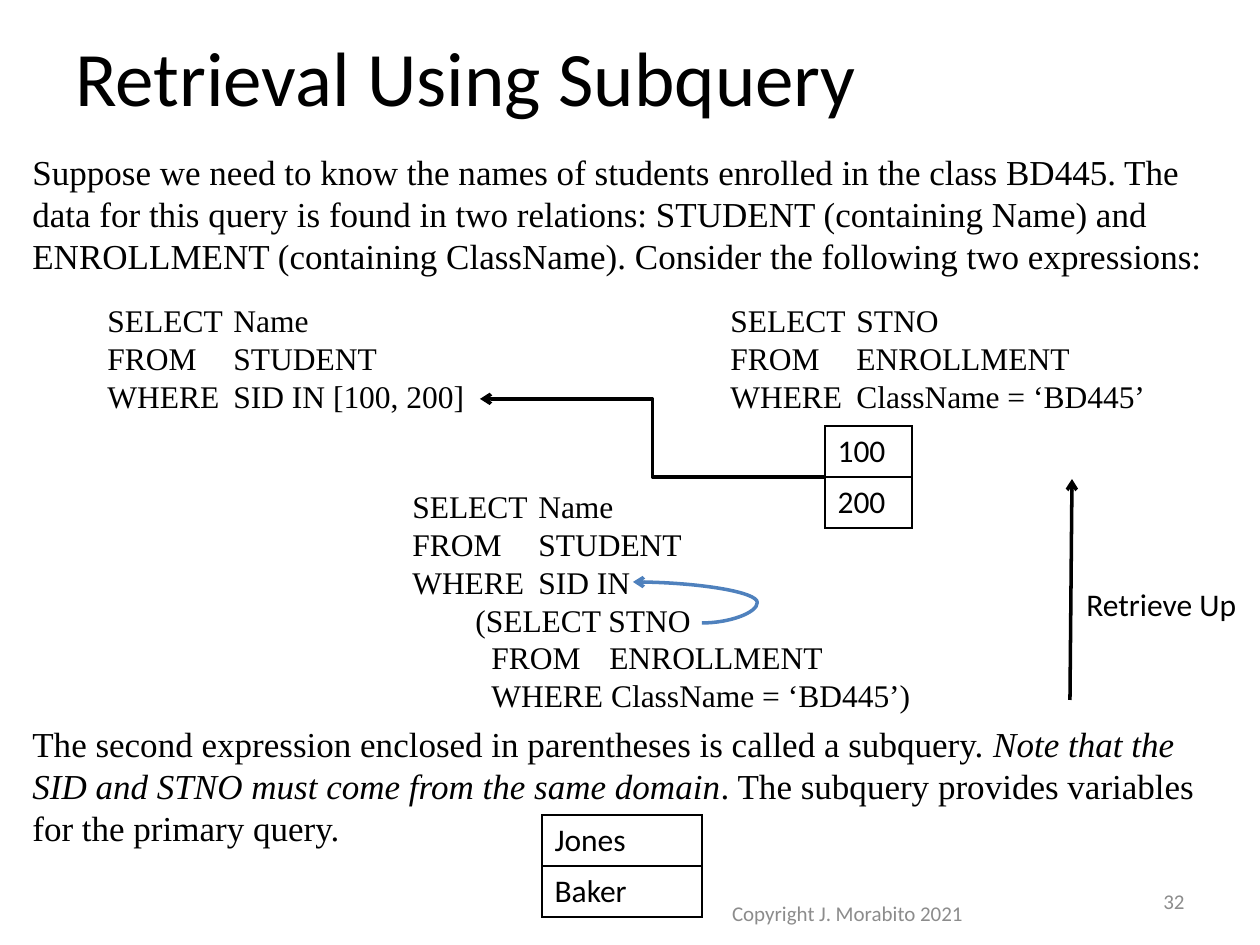
from lxml import etree
from pptx import Presentation
from pptx.dml.color import RGBColor
from pptx.enum.shapes import MSO_CONNECTOR
from pptx.enum.text import MSO_ANCHOR, PP_ALIGN
from pptx.oxml.ns import qn
from pptx.util import Pt

BLACK = RGBColor(0x00, 0x00, 0x00)
GRAY = RGBColor(0x8C, 0x8C, 0x8C)
BLUE = RGBColor(0x4F, 0x81, 0xBD)
SANS = "Calibri"
SERIF = "Times New Roman"
STRAIGHT = MSO_CONNECTOR.STRAIGHT
ELBOW = MSO_CONNECTOR.ELBOW
CURVE = MSO_CONNECTOR.CURVE
TOP, MIDDLE = MSO_ANCHOR.TOP, MSO_ANCHOR.MIDDLE
LEFT, CENTER, RIGHT = PP_ALIGN.LEFT, PP_ALIGN.CENTER, PP_ALIGN.RIGHT
EMU_PER_PX = 914400 / 126
CLAUSE_TABS = (63, 126)
NESTED_TABS = (79, 197)


def px(n):
    return round(n * EMU_PER_PX)


def style(p, size, font, color=BLACK):
    p.font.size = Pt(size)
    p.font.name = font
    p.font.color.rgb = color


def add_text(slide, box, lines, size, font, color=BLACK, align=LEFT,
             anchor=TOP, wrap=True):
    tf = slide.shapes.add_textbox(*map(px, box)).text_frame
    tf.word_wrap = wrap
    tf.vertical_anchor = anchor
    for i, line in enumerate(lines):
        p = tf.add_paragraph() if i else tf.paragraphs[0]
        p.alignment = align
        style(p, size, font, color)
        for text, italic in line if isinstance(line, list) else [(line, False)]:
            r = p.add_run()
            r.text = text
            if italic:
                r.font.italic = True
    return tf


def set_tabs(p, stops):
    tabs = etree.Element(qn("a:tabLst"))
    for stop in stops:
        etree.SubElement(tabs, qn("a:tab"), pos=str(px(stop)), algn="l")
    p._p.get_or_add_pPr().find(qn("a:defRPr")).addprevious(tabs)


def add_query(slide, box, clauses, nested=()):
    tf = add_text(slide, box, [*clauses, *nested], 18, SERIF, wrap=False)
    for i, p in enumerate(tf.paragraphs):
        set_tabs(p, CLAUSE_TABS if i < len(clauses) else NESTED_TABS)


def add_arrow(slide, kind, start, end, color, bend=None):
    s = slide.shapes.add_connector(kind, *map(px, start + end))
    s.line.color.rgb = color
    s.line.width = Pt(2)
    etree.SubElement(s.line._get_or_add_ln(), qn("a:tailEnd"), type="arrow")
    sp_pr = s._element.spPr
    etree.SubElement(sp_pr, qn("a:effectLst"))
    if bend is not None:
        guides = sp_pr.find(qn("a:prstGeom")).find(qn("a:avLst"))
        etree.SubElement(guides, qn("a:gd"), name="adj1", fmla=f"val {bend}")


def add_borders(cell):
    tc_pr = cell._tc.get_or_add_tcPr()
    for i, side in enumerate(("lnL", "lnR", "lnT", "lnB")):
        ln = etree.Element(qn(f"a:{side}"), w=str(Pt(1)))
        fill = etree.SubElement(ln, qn("a:solidFill"))
        etree.SubElement(fill, qn("a:srgbClr"), val=str(BLACK))
        tc_pr.insert(i, ln)


def add_result(slide, box, values):
    table = slide.shapes.add_table(len(values), 1, *map(px, box)).table
    table.first_row = False
    table.horz_banding = False
    for i, value in enumerate(values):
        cell = table.cell(i, 0)
        cell.text = value
        style(cell.text_frame.paragraphs[0], 18, SANS)
        cell.fill.background()
        add_borders(cell)


def main():
    prs = Presentation()
    prs.slide_width, prs.slide_height = px(1260), px(945)
    slide = prs.slides.add_slide(prs.slide_layouts[6])

    add_text(slide, (63, 6, 1134, 139), ["Retrieval Using Subquery"], 44, SANS,
             anchor=MIDDLE)
    add_text(slide, (648, 888, 399, 50), ["Copyright J. Morabito 2021"], 12,
             SANS, GRAY, CENTER, MIDDLE)
    add_text(slide, (20, 144, 1225, 140), [
        "Suppose we need to know the names of students enrolled in the class "
        "BD445. The data for this query is found in two relations: STUDENT "
        "(containing Name) and ENROLLMENT (containing ClassName). Consider "
        "the following two expressions:"], 20, SERIF)

    add_query(slide, (95, 295, 386, 127), [
        "SELECT\tName", "FROM\tSTUDENT", "WHERE\tSID IN [100, 200]"])
    add_query(slide, (718, 295, 442, 127), [
        "SELECT\tSTNO", "FROM\tENROLLMENT", "WHERE\tClassName = ‘BD445’"])
    add_arrow(slide, ELBOW, (825, 477), (480, 399), BLACK)
    add_result(slide, (825, 426, 87, 102), ["100", "200"])
    add_query(slide, (400, 481, 528, 242),
              ["SELECT\tName", "FROM\tSTUDENT", "WHERE\tSID IN",
               "\t(SELECT STNO"],
              ["\tFROM\tENROLLMENT", "\tWHERE ClassName = ‘BD445’)"])

    add_text(slide, (20, 716, 1225, 140), [[
        ("The second expression enclosed in parentheses is called a subquery. ",
         False),
        ("Note that the SID and STNO must come from the same domain", True),
        (". The subquery provides variables for the primary query.", False),
    ]], 20, SERIF)
    add_result(slide, (542, 815, 160, 102), ["Jones", "Baker"])
    add_arrow(slide, STRAIGHT, (1070, 700), (1072, 479), BLACK)
    add_text(slide, (1074, 579, 178, 50), ["Retrieve Up"], 18, SANS, wrap=False)
    add_text(slide, (903, 876, 294, 50), ["32"], 12, SANS, GRAY, RIGHT, MIDDLE)
    add_arrow(slide, CURVE, (702, 623), (633, 582), BLUE, -80300)

    prs.save("out.pptx")


if __name__ == "__main__":
    main()
